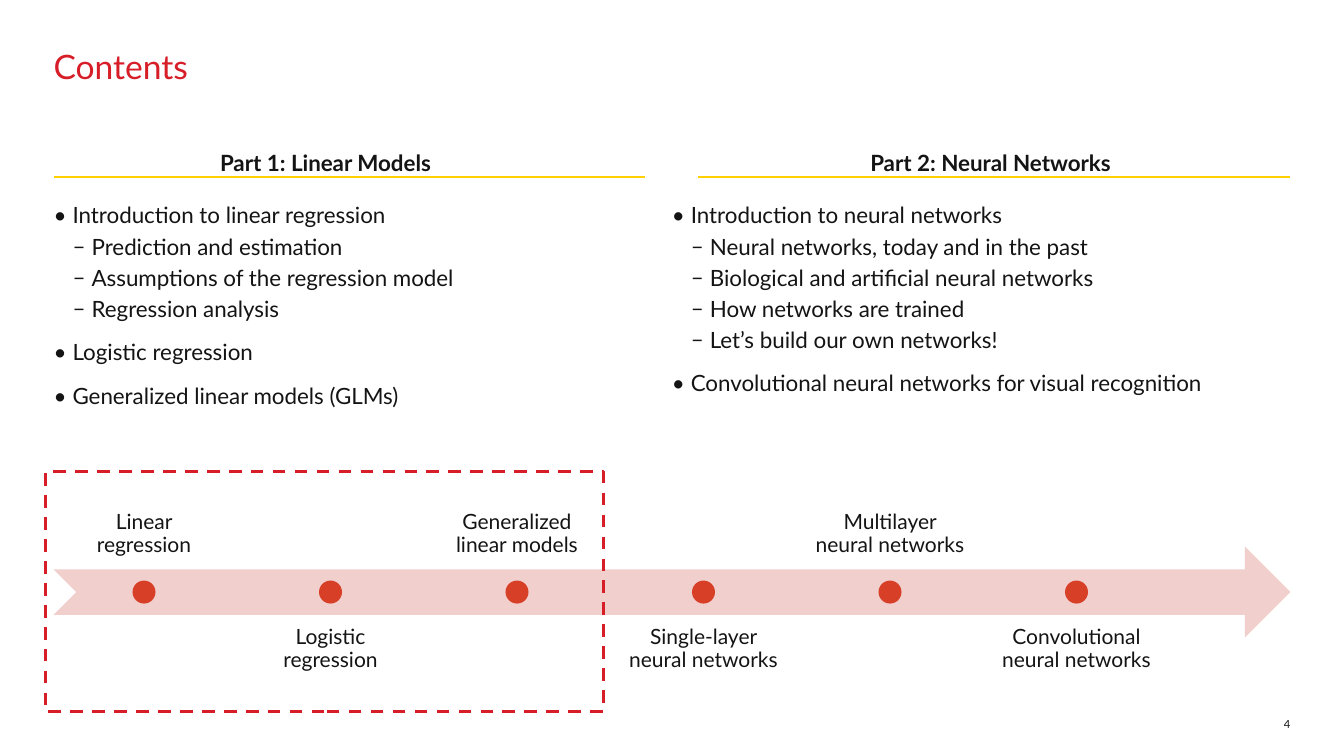
from lxml import etree
from pptx import Presentation
from pptx.dml.color import RGBColor
from pptx.enum.dml import MSO_LINE
from pptx.enum.shapes import MSO_CONNECTOR, MSO_SHAPE
from pptx.enum.text import MSO_ANCHOR, MSO_AUTO_SIZE, PP_ALIGN
from pptx.oxml.ns import qn
from pptx.util import Cm, Pt

TOP, BOTTOM = MSO_ANCHOR.TOP, MSO_ANCHOR.BOTTOM
LEFT, CENTER, RIGHT = PP_ALIGN.LEFT, PP_ALIGN.CENTER, PP_ALIGN.RIGHT
DASH = MSO_LINE.DASH
ARROW, OVAL, RECT = MSO_SHAPE.NOTCHED_RIGHT_ARROW, MSO_SHAPE.OVAL, MSO_SHAPE.RECTANGLE

COLORS = {"red": "D71E28", "yellow": "FFD100", "ink": "141414",
          "pink": "F0CFCD", "dot": "D73F26"}
# bullet sign and space before, by outline level
LEVELS = [("•", 12), ("–", 3)]
INDENT = 0.48

PARTS = [
    (3.53, 1.35, 1.35, "Part 1: Linear Models", [
        (0, "Introduction to linear regression"),
        (1, "Prediction and estimation"),
        (1, "Assumptions of the regression model"),
        (1, "Regression analysis"),
        (0, "Logistic regression"),
        (0, "Generalized linear models (GLMs)"),
    ]),
    (20.29, 17.6, 16.93, "Part 2: Neural Networks", [
        (0, "Introduction to neural networks"),
        (1, "Neural networks, today and in the past"),
        (1, "Biological and artificial neural networks"),
        (1, "How networks are trained"),
        (1, "Let’s build our own networks!"),
        (0, "Convolutional neural networks for visual recognition"),
    ]),
]
STEPS = ["Linear regression", "Logistic regression", "Generalized linear models",
         "Single-layer neural networks", "Multilayer neural networks",
         "Convolutional neural networks"]


def color(name):
    return RGBColor.from_string(COLORS[name])


class Deck:
    font = "Lato"

    def __init__(self):
        self.prs = Presentation()
        self.prs.slide_width, self.prs.slide_height = Cm(33.87), Cm(19.05)
        self.s = self.prs.slides.add_slide(self.prs.slide_layouts[5])

    def frame(self, sp, inset=0, anchor=TOP):
        tf = sp.text_frame
        fmt = {"word_wrap": True, "auto_size": MSO_AUTO_SIZE.NONE,
               "vertical_anchor": anchor}
        for side in ("left", "right", "top", "bottom"):
            fmt["margin_" + side] = Cm(inset)
        for key, value in fmt.items():
            setattr(tf, key, value)
        return tf

    def add_run(self, p, text, size, ink="ink", bold=False, **fmt):
        for key, value in fmt.items():
            setattr(p, key, value)
        r = p.add_run()
        r.text = text
        for key, value in {"name": self.font, "size": Pt(size), "bold": bold}.items():
            setattr(r.font, key, value)
        r.font.color.rgb = color(ink)

    def title(self, text, x, y, w, h):
        sp = self.s.shapes.title
        sp.left, sp.top, sp.width, sp.height = Cm(x), Cm(y), Cm(w), Cm(h)
        p = self.frame(sp).paragraphs[0]
        self.add_run(p, text, 24, "red", alignment=LEFT, line_spacing=0.9)

    def text(self, text, x, y, w, h, size, inset=0, anchor=TOP, **fmt):
        sp = self.s.shapes.add_textbox(Cm(x), Cm(y), Cm(w), Cm(h))
        self.add_run(self.frame(sp, inset, anchor).paragraphs[0], text, size, **fmt)

    def outline(self, items, x, y, w, h):
        sp = self.s.shapes.add_textbox(Cm(x), Cm(y), Cm(w), Cm(h))
        tf = self.frame(sp)
        for i, (level, text) in enumerate(items):
            p = tf.add_paragraph() if i else tf.paragraphs[0]
            sign, before = LEVELS[level]
            pPr = p._p.get_or_add_pPr()
            pPr.set("marL", str(Cm(INDENT * (level + 1))))
            pPr.set("indent", str(-Cm(INDENT)))
            etree.SubElement(pPr, qn("a:buFont")).set("typeface", self.font)
            etree.SubElement(pPr, qn("a:buChar")).set("char", sign)
            self.add_run(p, text, 16, level=level, space_before=Pt(before if i else 0))

    def shape(self, kind, x, y, w, h, fill=None, line=None):
        sp = self.s.shapes.add_shape(kind, Cm(x), Cm(y), Cm(w), Cm(h))
        sp.shadow.inherit = False
        if fill:
            sp.fill.solid()
            sp.fill.fore_color.rgb = color(fill)
        else:
            sp.fill.background()
        if line:
            sp.line.color.rgb = color(line)
            sp.line.width = Pt(2.25)
            sp.line.dash_style = DASH
        else:
            sp.line.fill.background()

    def rule(self, x, y, w):
        sp = self.s.shapes.add_connector(MSO_CONNECTOR.STRAIGHT,
                                         Cm(x), Cm(y), Cm(x + w), Cm(y))
        sp.line.color.rgb = color("yellow")
        sp.line.width = Pt(1.5)
        etree.SubElement(sp._element.spPr, qn("a:effectLst"))


def main():
    deck = Deck()
    deck.title("Contents", 1.35, 1.27, 31.17, 2.79)

    # Two parts: heading, rule and outline
    for head_x, rule_x, list_x, heading, items in PARTS:
        deck.rule(rule_x, 4.45, 14.9)
        deck.text(heading, head_x, 3.76, 9.35, 0.61, 16, bold=True, alignment=CENTER)
        deck.outline(items, list_x, 5.08, 15, 6)

    # Timeline: labels alternate above and below the arrow
    mid, pitch, dot, label_w, label_h = 14.92, 4.7, 0.58, 4.5, 2.29
    deck.shape(ARROW, 1.35, mid - label_h / 2, 31.17, label_h, "pink")
    for i, step in enumerate(STEPS):
        x = 3.63 + pitch * i
        y, anchor = (15.49, TOP) if i % 2 else (12.04, BOTTOM)
        deck.text(step, x - label_w / 2, y, label_w, label_h, 15, 0.3, anchor,
                  alignment=CENTER, line_spacing=0.9)
        deck.shape(OVAL, x - dot / 2, mid - dot / 2, dot, dot, "dot")

    # Frame around part 1, and the page number
    deck.shape(RECT, 1.15, 11.89, 14.05, 6.05, line="red")
    deck.text("4", 31.17, 17.78, 1.35, 0.64, 8, anchor=BOTTOM, alignment=RIGHT)

    deck.prs.save("out.pptx")


if __name__ == "__main__":
    main()
